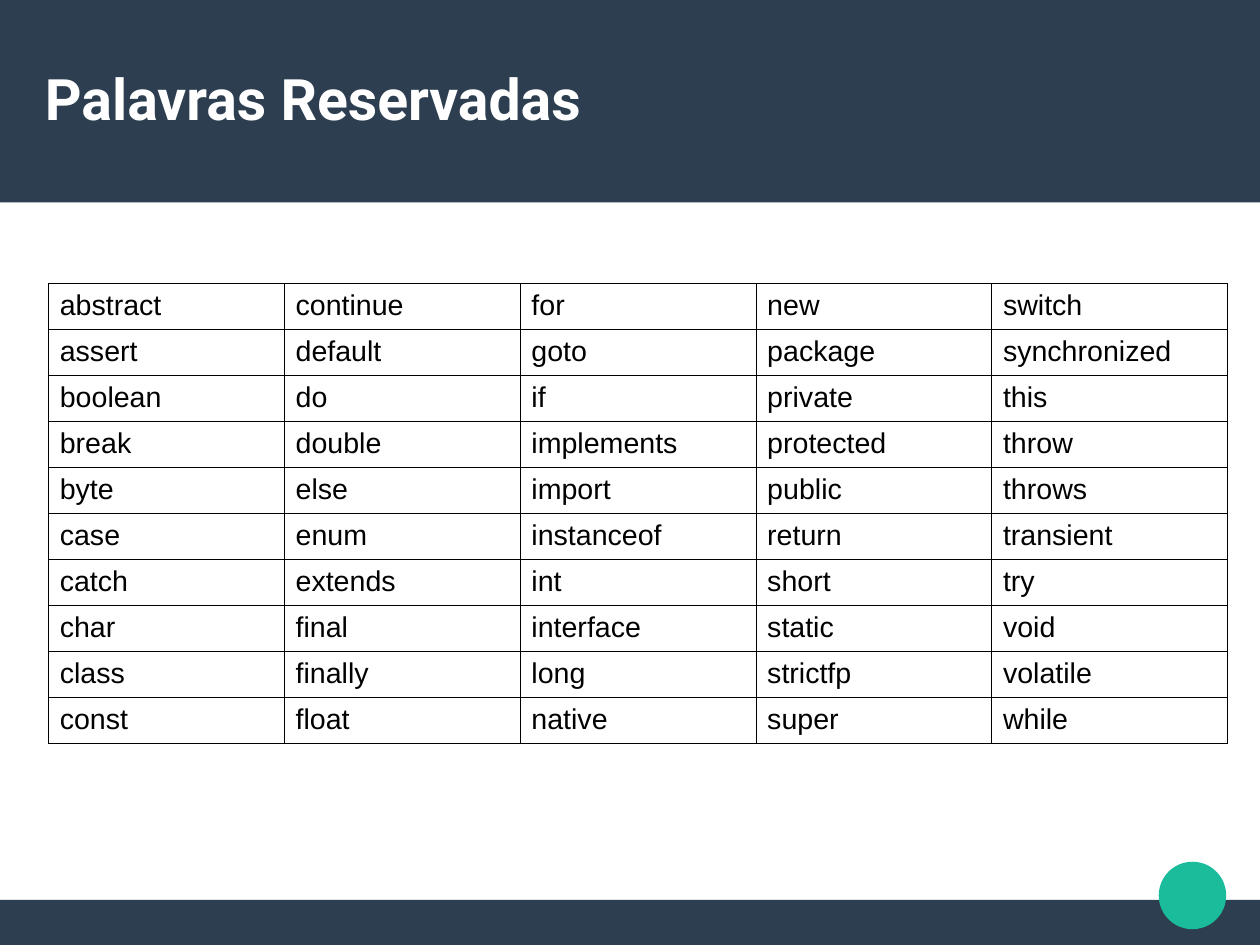
from lxml.etree import SubElement
from pptx import Presentation
from pptx.dml.color import RGBColor
from pptx.enum.shapes import MSO_SHAPE as Shape
from pptx.enum.text import MSO_ANCHOR as Anchor
from pptx.oxml.ns import qn
from pptx.util import Cm, Pt

TITLE = "Palavras Reservadas"
KEYWORD_COLUMNS = [
    ["abstract", "assert", "boolean", "break", "byte",
     "case", "catch", "char", "class", "const"],
    ["continue", "default", "do", "double", "else",
     "enum", "extends", "final", "finally", "float"],
    ["for", "goto", "if", "implements", "import",
     "instanceof", "int", "interface", "long", "native"],
    ["new", "package", "private", "protected", "public",
     "return", "short", "static", "strictfp", "super"],
    ["switch", "synchronized", "this", "throw", "throws",
     "transient", "try", "void", "volatile", "while"],
]
COLORS = {"navy": "2C3E50", "green": "1ABC9C", "white": "FFFFFF", "black": "000000"}

PAGE_WIDTH, PAGE_HEIGHT = 28, 21
HEADER_HEIGHT, FOOTER_HEIGHT = 4.5, 1
DECORATIONS = [
    (Shape.RECTANGLE, 0, PAGE_HEIGHT - FOOTER_HEIGHT, PAGE_WIDTH, FOOTER_HEIGHT, "navy"),
    (Shape.RECTANGLE, 0, 0, PAGE_WIDTH, HEADER_HEIGHT, "navy"),
    (Shape.OVAL, 25.75, 19.15, 1.5, 1.5, "green"),
]
TITLE_AREA = (1, 0.85, 26, 2.65)
TABLE_AREA = (1.08, 6.3, 26.2, 9.73)
BORDER = Pt(0.57)


def rgb(name):
    return RGBColor.from_string(COLORS[name])


def add_decoration(page, kind, left, top, width, height, color):
    shape = page.shapes.add_shape(kind, Cm(left), Cm(top), Cm(width), Cm(height))
    shape.shadow.inherit = False
    shape.fill.solid()
    shape.fill.fore_color.rgb = rgb(color)
    shape.line.fill.background()


def add_span(para, text, font, size, color, bold=False):
    span = para.add_run()
    span.text = text
    span.font.name = font
    span.font.size = Pt(size)
    span.font.bold = bold
    span.font.color.rgb = rgb(color)


def add_title(page):
    box = page.shapes.add_textbox(*map(Cm, TITLE_AREA))
    frame = box.text_frame
    frame.word_wrap = True
    frame.vertical_anchor = Anchor.MIDDLE
    frame.margin_left = frame.margin_right = 0
    frame.margin_top = frame.margin_bottom = 0
    add_span(frame.paragraphs[0], TITLE, "Roboto", 36, "white", True)


def add_borders(cell):
    properties = cell._tc.get_or_add_tcPr()
    for side in ("a:lnL", "a:lnR", "a:lnT", "a:lnB"):
        line = SubElement(properties, qn(side), w=str(int(BORDER)))
        fill = SubElement(line, qn("a:solidFill"))
        SubElement(fill, qn("a:srgbClr"), val=COLORS["black"])


def add_keyword_table(page):
    column_count, row_count = len(KEYWORD_COLUMNS), len(KEYWORD_COLUMNS[0])
    frame = page.shapes.add_table(row_count, column_count, *map(Cm, TABLE_AREA))
    table = frame.table
    table.first_row = False
    table.horz_banding = False
    for column, keywords in enumerate(KEYWORD_COLUMNS):
        for row, keyword in enumerate(keywords):
            cell = table.cell(row, column)
            add_borders(cell)
            cell.fill.background()
            cell.margin_left = cell.margin_right = Cm(0.25)
            cell.margin_top = cell.margin_bottom = Cm(0.13)
            add_span(cell.text_frame.paragraphs[0], keyword, "Arial", 18, "black")


def main():
    deck = Presentation()
    deck.slide_width, deck.slide_height = Cm(PAGE_WIDTH), Cm(PAGE_HEIGHT)
    page = deck.slides.add_slide(deck.slide_layouts[6])
    page.background.fill.solid()
    page.background.fill.fore_color.rgb = rgb("white")
    for decoration in DECORATIONS:
        add_decoration(page, *decoration)
    add_title(page)
    add_keyword_table(page)
    deck.save("out.pptx")


if __name__ == "__main__":
    main()
